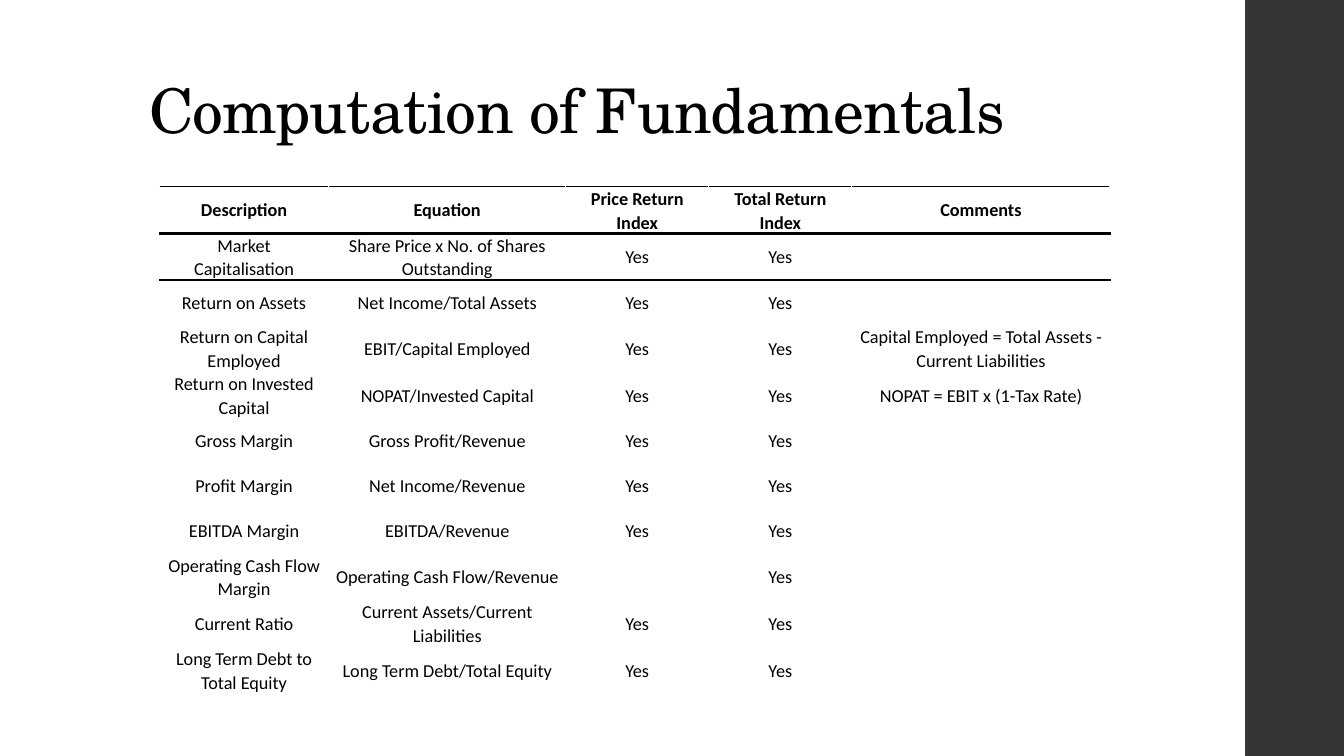
import pptx
import pptx.util
import pptx.dml.color
import pptx.enum.shapes
import pptx.enum.text
import pptx.oxml
import pptx.oxml.ns

Inches = pptx.util.Inches
Pt = pptx.util.Pt
RGBColor = pptx.dml.color.RGBColor
MIDDLE = pptx.enum.text.MSO_ANCHOR.MIDDLE
CENTER = pptx.enum.text.PP_ALIGN.CENTER

BLACK = RGBColor(0x00, 0x00, 0x00)
WHITE = RGBColor(0xFF, 0xFF, 0xFF)
CHARCOAL = RGBColor(0x35, 0x35, 0x37)

TITLE_FONT = {"name": "TeX Gyre Schola", "size": Pt(44)}
TABLE_FONT = {"name": "Calibri", "size": Pt(13)}
CELL_FORMAT = {
    "vertical_anchor": MIDDLE,
    "margin_left": Inches(0.07),
    "margin_right": Inches(0.07),
    "margin_top": 0,
    "margin_bottom": 0,
}
COLUMN_WIDTHS = [1.68, 2.35, 1.42, 1.42, 2.56]
TOP_RULE = 1
HEADER_RULE = 2.25

HEADER = ["Description", "Equation", "Price Return Index", "Total Return Index", "Comments"]
FUNDAMENTALS = [
    ["Market Capitalisation", "Share Price x No. of Shares Outstanding", "Yes", "Yes", ""],
    ["Return on Assets", "Net Income/Total Assets", "Yes", "Yes", ""],
    ["Return on Capital Employed", "EBIT/Capital Employed", "Yes", "Yes",
     "Capital Employed = Total Assets - Current Liabilities"],
    ["Return on Invested Capital", "NOPAT/Invested Capital", "Yes", "Yes",
     "NOPAT = EBIT x (1-Tax Rate)"],
    ["Gross Margin", "Gross Profit/Revenue", "Yes", "Yes", ""],
    ["Profit Margin", "Net Income/Revenue", "Yes", "Yes", ""],
    ["EBITDA Margin", "EBITDA/Revenue", "Yes", "Yes", ""],
    ["Operating Cash Flow Margin", "Operating Cash Flow/Revenue", "", "Yes", ""],
    ["Current Ratio", "Current Assets/Current Liabilities", "Yes", "Yes", ""],
    ["Long Term Debt to Total Equity", "Long Term Debt/Total Equity", "Yes", "Yes", ""],
]


def apply_format(target, values):
    """Set each named attribute of the target."""
    for name, value in values.items():
        setattr(target, name, value)


def add_side_band(slide, left, top, width, height):
    """Draw the dark band along the slide edge."""
    band = slide.shapes.add_shape(
        pptx.enum.shapes.MSO_SHAPE.RECTANGLE,
        Inches(left), Inches(top), Inches(width), Inches(height))
    band.shadow.inherit = False
    band.fill.solid()
    band.fill.fore_color.rgb = CHARCOAL
    band.line.fill.background()


def add_title(slide, left, top, width, height, text):
    """Write the slide title, centred vertically in its box."""
    box = slide.shapes.add_textbox(Inches(left), Inches(top), Inches(width), Inches(height))
    apply_format(box.text_frame, {"word_wrap": True, "vertical_anchor": MIDDLE})
    paragraph = box.text_frame.paragraphs[0]
    paragraph.line_spacing = 0.9
    run = paragraph.add_run()
    run.text = text
    apply_format(run.font, TITLE_FONT)
    run.font.color.rgb = BLACK
    run.font._element.set("spc", "-50")


def add_rules(cell, rules):
    """Add horizontal border lines, given as tag and points, to a cell."""
    properties = cell._tc.get_or_add_tcPr()
    for position, (tag, points) in enumerate(rules):
        line = pptx.oxml.parse_xml(
            f'<a:{tag} {pptx.oxml.ns.nsdecls("a")} w="{Pt(points)}">'
            f'<a:solidFill><a:srgbClr val="{BLACK}"/></a:solidFill></a:{tag}>')
        properties.insert(position, line)


def fill_cell(cell, text, bold):
    """Write centred text on white in a table cell."""
    apply_format(cell, CELL_FORMAT)
    cell.fill.solid()
    cell.fill.fore_color.rgb = WHITE
    paragraph = cell.text_frame.paragraphs[0]
    apply_format(paragraph, {"alignment": CENTER, "line_spacing": 1.07})
    apply_format(paragraph.font, TABLE_FONT)
    if text:
        run = paragraph.add_run()
        run.text = text
        apply_format(run.font, {**TABLE_FONT, "bold": bold})
        run.font.color.rgb = BLACK


def add_fundamentals_table(slide, left, top, width, height):
    """Build the table of fundamentals with rules around its header."""
    rows = [HEADER] + FUNDAMENTALS
    table = slide.shapes.add_table(
        len(rows), len(HEADER),
        Inches(left), Inches(top), Inches(width), Inches(height)).table
    apply_format(table, {"first_row": False, "horz_banding": False})
    for column, share in zip(table.columns, COLUMN_WIDTHS):
        column.width = Inches(width * share / sum(COLUMN_WIDTHS))
    rules = {0: [("lnT", TOP_RULE), ("lnB", HEADER_RULE)], 1: [("lnT", HEADER_RULE)]}
    for row_index, texts in enumerate(rows):
        for column_index, text in enumerate(texts):
            cell = table.cell(row_index, column_index)
            fill_cell(cell, text, bold=row_index == 0)
            add_rules(cell, rules.get(row_index, []))


def build_slide(presentation):
    """Compose the slide from its band, title and table."""
    slide = presentation.slides.add_slide(presentation.slide_layouts[6])
    add_side_band(slide, 12.35, 0, 0.98, 7.5)
    add_title(slide, 1.38, 0.4, 10.6, 1.45, "Computation of Fundamentals")
    add_fundamentals_table(slide, 1.58, 1.85, 9.43, 4.9)


presentation = pptx.Presentation()
apply_format(presentation, {"slide_width": Inches(13.33), "slide_height": Inches(7.5)})
build_slide(presentation)
presentation.save("out.pptx")
